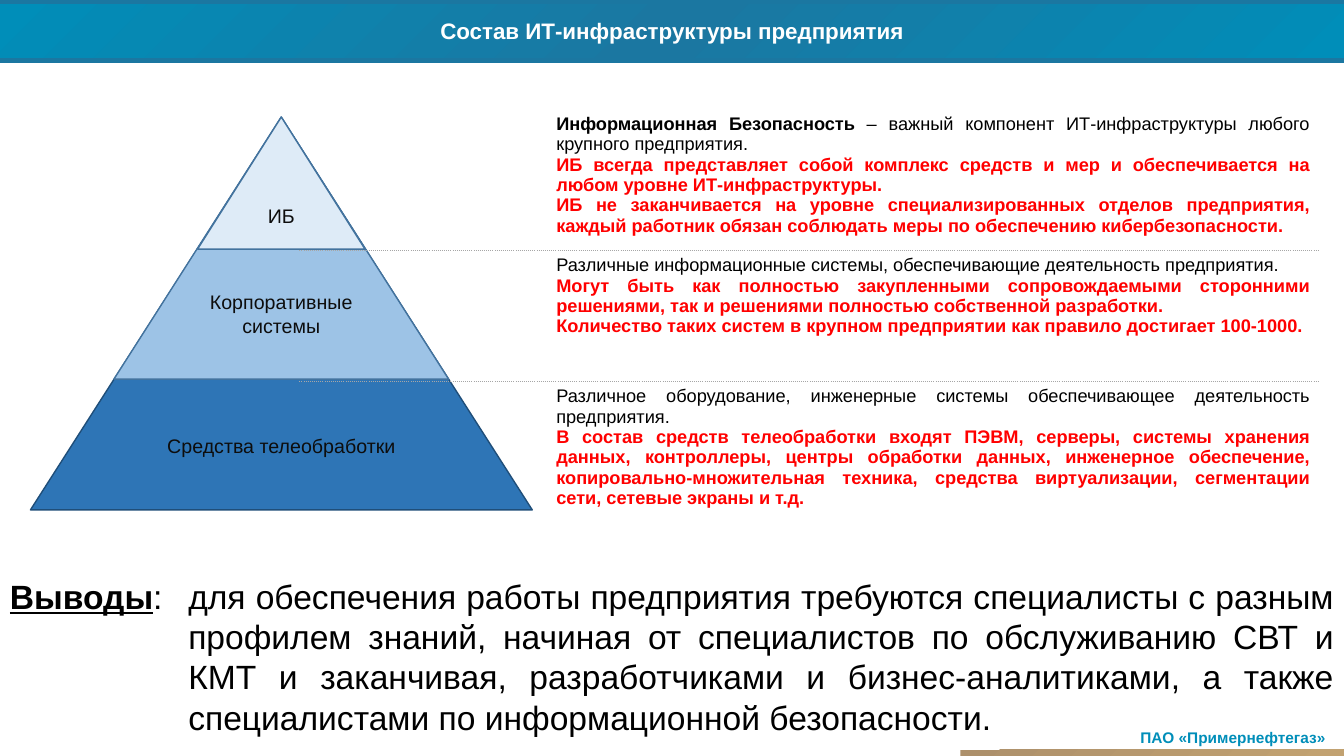
from lxml.etree import SubElement
from pptx import Presentation
from pptx.dml.color import RGBColor
from pptx.enum.shapes import MSO_CONNECTOR, MSO_SHAPE
from pptx.enum.text import MSO_ANCHOR, PP_ALIGN
from pptx.oxml.ns import qn
from pptx.util import Pt

TITLE = "Состав ИТ-инфраструктуры предприятия"
COMPANY = "ПАО «Примернефтегаз»"
# Pyramid levels, bottom to top: label, fill, outline, left, top, width, height, top inset
LEVELS = [
    ("Средства телеобработки", "2E75B6", "1F4E79", (21.8, 84, 358.4, 280.2), 52),
    ("Корпоративные системы", "9DC3E6", "43739E", (81.4, 83.6, 239, 187.2), 3.6),
    ("ИБ", "DEEBF7", "43739E", (141.2, 83.6, 119.5, 94.3), 3.6),
]
# Table rows: height, paragraphs of (text, style) runs
ROWS = [
    (100.8, [
        [("Информационная Безопасность ", "term"),
         ("– важный компонент ИТ-инфраструктуры любого крупного предприятия. ", "plain")],
        [("ИБ всегда представляет собой комплекс средств и мер и обеспечивается на любом "
          "уровне ИТ-инфраструктуры.", "accent")],
        [("ИБ не заканчивается на уровне специализированных отделов предприятия, каждый "
          "работник обязан соблюдать меры по обеспечению кибербезопасности.", "accent")],
    ]),
    (93.6, [
        [("Различные информационные системы, обеспечивающие деятельность предприятия.", "plain")],
        [("Могут быть как полностью закупленными сопровождаемыми сторонними решениями, "
          "так и решениями полностью собственной разработки.", "accent")],
        [("Количество таких систем в крупном предприятии как правило достигает 100-1000.", "accent")],
    ]),
    (112.3, [
        [("Различное оборудование, инженерные системы обеспечивающее деятельность предприятия.", "plain")],
        [("В состав средств телеобработки входят ПЭВМ, серверы, системы хранения данных, "
          "контроллеры, центры обработки данных, инженерное обеспечение, "
          "копировально-множительная техника, средства виртуализации, сегментации сети, "
          "сетевые экраны и т.д.", "accent")],
    ]),
]
CONCLUSION = [
    ("Выводы", "heading"),
    (":\tдля обеспечения работы предприятия требуются специалисты с разным профилем знаний, "
     "начиная от специалистов по обслуживанию СВТ и КМТ и заканчивая, разработчиками и "
     "бизнес-аналитиками, а также специалистами по информационной безопасности.", "body"),
]
THEME = {
    "font": "Arial",
    "rule": "1B77A1",
    "divider": "A6A6A6",
    "header": ["008EB9", "1B77A1", "008EB9"],
    "footer": ["AD906B", "C2A271"],
    "text": {  # size, colour, bold, underline
        "title": (16, "FFFFFF", True, False),
        "company": (11, "008EB9", True, False),
        "level": (14, "0D0D0D", False, False),
        "term": (13, "000000", True, False),
        "plain": (13, "000000", False, False),
        "accent": (13, "FF0000", True, False),
        "heading": (24, "000000", True, True),
        "body": (24, "000000", False, False),
    },
}
W, H = 960, 540


def rgb(value):
    return RGBColor.from_string(value)


def points(box):
    return [Pt(v) for v in box]


def write(p, runs, align, margin=0, indent=0):
    p.alignment = align
    if margin:
        p._p.get_or_add_pPr().set("marL", str(Pt(margin)))
        p._p.get_or_add_pPr().set("indent", str(Pt(indent)))
    for text, style in runs:
        size, color, bold, underline = THEME["text"][style]
        r = p.add_run()
        r.text = text
        r.font.color.rgb = rgb(color)
        form = {"name": THEME["font"], "size": Pt(size), "bold": bold, "underline": underline}
        for key, value in form.items():
            setattr(r.font, key, value)


def add_shape(s, kind, box):
    sp = s.shapes.add_shape(kind, *points(box))
    sp.shadow.inherit = False
    sp.line.fill.background()
    return sp


def add_text(s, box, runs, align, anchor=MSO_ANCHOR.TOP, **indents):
    tf = s.shapes.add_textbox(*points(box)).text_frame
    tf.word_wrap = True
    tf.vertical_anchor = anchor
    write(tf.paragraphs[0], runs, align, **indents)


def fill_gradient(sp, colors):
    """Spread the colours evenly along a 45 degree diagonal running down."""
    sp.fill.gradient()
    sp.fill.gradient_angle = 315
    gs_list = sp._element.spPr.find(qn("a:gradFill")).find(qn("a:gsLst"))
    gs_list.clear()
    for i, color in enumerate(colors):
        gs = SubElement(gs_list, qn("a:gs"), pos=str(100000 * i // (len(colors) - 1)))
        SubElement(gs, qn("a:srgbClr"), val=color)


def set_borders(cell, dotted):
    """Dot the named sides and clear the others."""
    pr = cell._tc.get_or_add_tcPr()
    for i, side in enumerate(("lnL", "lnR", "lnT", "lnB")):
        ln = pr.makeelement(qn("a:" + side), {"w": str(Pt(1))})
        pr.insert(i, ln)
        if side in dotted:
            solid = SubElement(ln, qn("a:solidFill"))
            SubElement(solid, qn("a:srgbClr"), val=THEME["divider"])
            SubElement(ln, qn("a:prstDash"), val="sysDot")
        else:
            SubElement(ln, qn("a:noFill"))


def add_header(s):
    sp = add_shape(s, MSO_SHAPE.ROUNDED_RECTANGLE, (0, 1.4, W, 40.6))
    sp.adjustments[0] = 0
    fill_gradient(sp, THEME["header"])
    sp.text_frame.word_wrap = False
    sp.text_frame.vertical_anchor = MSO_ANCHOR.MIDDLE
    write(sp.text_frame.paragraphs[0], [(TITLE, "title")], PP_ALIGN.CENTER)
    for y in (43.2, 1.4):
        rule = s.shapes.add_connector(MSO_CONNECTOR.STRAIGHT, *points((0, y, W, y)))
        rule.line.color.rgb = rgb(THEME["rule"])
        rule.line.width = Pt(3)
        SubElement(rule._element.spPr, qn("a:effectLst"))


def add_footer(s):
    add_text(s, (801.4, 516.2, 158.6, 20.9), [(COMPANY, "company")], PP_ALIGN.CENTER)
    fill_gradient(add_shape(s, MSO_SHAPE.RECTANGLE, (686, 535.7, W - 686, H - 535.7)), THEME["footer"])


def add_pyramid(s):
    for label, fill, outline, box, inset in LEVELS:
        sp = add_shape(s, MSO_SHAPE.ISOSCELES_TRIANGLE, box)
        sp.fill.solid()
        sp.fill.fore_color.rgb = rgb(fill)
        sp.line.color.rgb = rgb(outline)
        sp.line.width = Pt(1)
        tf = sp.text_frame
        tf.word_wrap = True
        tf.margin_top = Pt(inset)
        tf.vertical_anchor = MSO_ANCHOR.MIDDLE
        write(tf.paragraphs[0], [(label, "level")], PP_ALIGN.CENTER)


def add_descriptions(s):
    height = sum(h for h, _ in ROWS)
    table = s.shapes.add_table(len(ROWS), 1, *points((213.8, 77.8, 728.6, height))).table
    table.first_row = table.horz_banding = False
    for i, (row_height, paragraphs) in enumerate(ROWS):
        table.rows[i].height = Pt(row_height)
        cell = table.cell(i, 0)
        cell.fill.background()
        set_borders(cell, ["lnT"] * (i > 0) + ["lnB"] * (i < len(ROWS) - 1))
        tf = cell.text_frame
        for j, runs in enumerate(paragraphs):
            p = tf.add_paragraph() if j else tf.paragraphs[0]
            write(p, runs, PP_ALIGN.JUSTIFY, margin=176.4)


def main():
    prs = Presentation()
    prs.slide_width, prs.slide_height = Pt(W), Pt(H)
    s = prs.slides.add_slide(prs.slide_layouts[6])
    add_header(s)
    add_footer(s)
    add_pyramid(s)
    add_descriptions(s)
    add_text(s, (0, 406.8, W, 123.8), CONCLUSION, PP_ALIGN.JUSTIFY, MSO_ANCHOR.MIDDLE,
             margin=127.4, indent=-127.4)
    prs.save("out.pptx")


if __name__ == "__main__":
    main()
